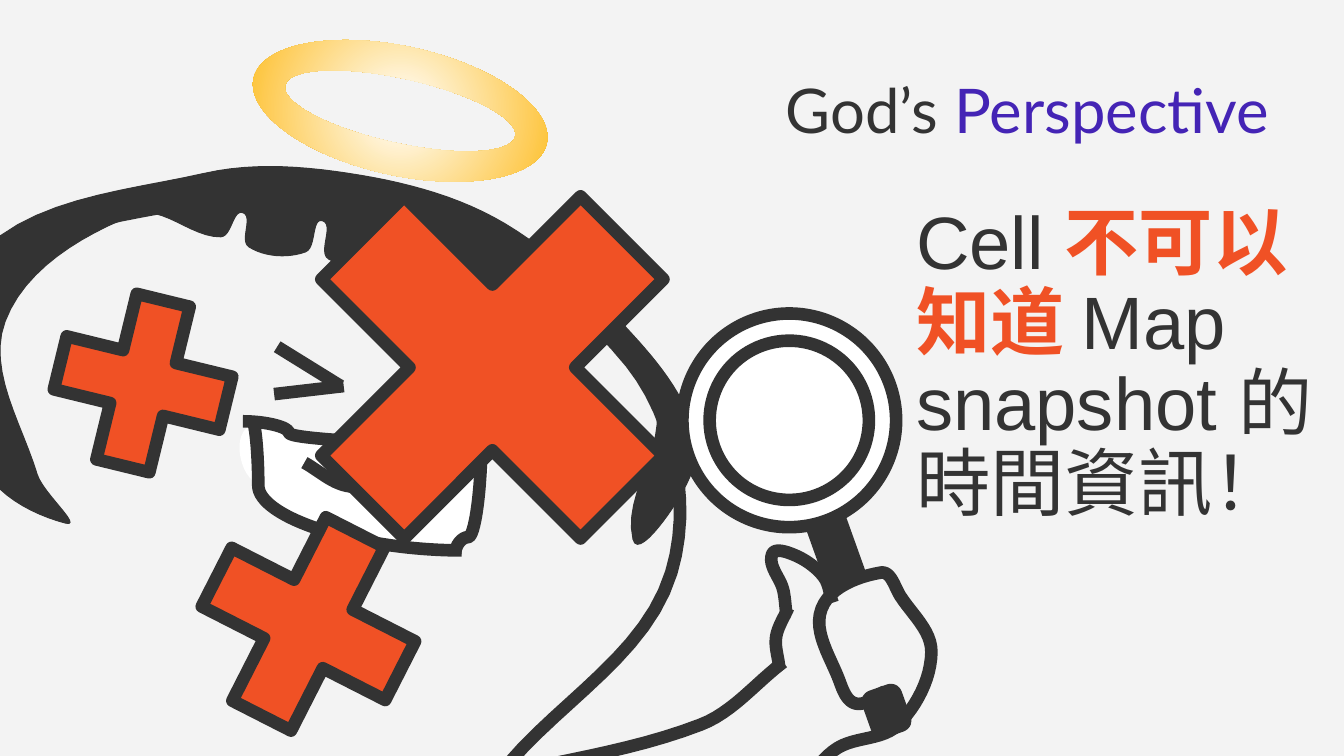
from dataclasses import dataclass
from math import dist
from typing import Iterator, Optional

from lxml.etree import SubElement
from pptx import Presentation
from pptx.dml.color import RGBColor
from pptx.enum.shapes import MSO_CONNECTOR as Link, MSO_SHAPE as Preset
from pptx.enum.text import MSO_ANCHOR as Anchor, PP_ALIGN as Align
from pptx.oxml.ns import qn
from pptx.util import Inches, Pt

COLORS = {"paper": "F3F3F3", "ink": "333333", "white": "FFFFFF",
          "red": "F05125", "gold": "FDB813", "violet": "4424B5"}
COLUMNS, ROWS = 1333.33, 750  # square cells
CELL = Inches(7.5) / ROWS
BOLD_LINE, THIN_LINE = 9, 0.75
CURVE_STEPS = 12
LENS_TILT = 340.3
LENS_CENTER = (783, 417)

Point = tuple[float, float]


@dataclass
class Outline:
    """Points, in cells, that a smooth curve passes through; closed if filled."""
    points: list[Point]
    fill: Optional[str] = None
    width: float = BOLD_LINE


@dataclass
class Stroke:
    ends: tuple[int, int, int, int]
    bend: Optional[float] = None
    turn: int = 0


@dataclass
class Figure:
    preset: Preset
    box: tuple[int, int, int, int]
    turn: float = 0
    fill: str = "ink"
    width: float = BOLD_LINE
    adjust: Optional[float] = None


@dataclass
class Phrase:
    words: str
    color: str
    font: str
    size: int
    bold: bool = False
    asian: bool = False


@dataclass
class Caption:
    box: tuple[int, int, int, int]
    phrases: list[Phrase]
    frame: dict
    align: Align = Align.LEFT


MOUTH = Outline([(247, 423), (247, 473), (335, 530), (449, 548), (464, 529),
                 (476, 447), (314, 434)], "white", 0)
TONGUE = Outline([(302, 459), (344, 482), (449, 489)])
ARM = Outline([(777, 657), (695, 719), (473, 774)])
WRIST = Outline([(773, 661), (770, 632), (782, 603)])
THUMB = Outline([(780, 607), (777, 585), (766, 550), (789, 551), (817, 572), (826, 598)])
SLEEVE = Outline([(878, 686), (849, 698), (833, 676), (815, 604), (874, 568), (893, 591),
                  (924, 647), (891, 719), (831, 742), (781, 787), (525, 885)])
HEAD = Outline([(0, 280), (118, 214), (377, 205), (626, 360), (666, 568), (505, 757)])
HAIR = Outline([(133, 213), (219, 235), (241, 211), (247, 245), (303, 250), (320, 219),
                (326, 257), (422, 278), (560, 299), (650, 398), (628, 535), (673, 495),
                (690, 432), (633, 338), (501, 222), (358, 174), (203, 172), (-29, 262),
                (-20, 456), (65, 519), (37, 471), (5, 319)], "ink", THIN_LINE)
OUTLINES = [MOUTH, TONGUE, ARM, WRIST, THUMB, SLEEVE, HEAD, HAIR]

EYE = [Stroke((275, 344, 338, 383)), Stroke((272, 391, 341, 383))]
LIPS = [Stroke((241, 418, 482, 441), bend=0.19),
        Stroke((409, 481, 520, 507), bend=0.85, turn=90),
        Stroke((250, 417, 458, 546), bend=0.03)]

NOSE = Figure(Preset.OVAL, (413, 366, 29, 29), width=THIN_LINE)
HALO = Figure(Preset.DONUT, (248, 46, 298, 128), 12.5, "gold", 0, 0.25)
HANDLE = [Figure(Preset.ROUNDED_RECTANGLE, box, LENS_TILT)
          for box in ((865, 687, 29, 37), (814, 510, 29, 68))]
LENS = [Figure(Preset.OVAL, (*(c - radius for c in LENS_CENTER), 2 * radius, 2 * radius),
               LENS_TILT, "white") for radius in (106, 79)]
CROSSES = [Figure(Preset.MATH_MULTIPLY, (left, top, side, side), turn, "red", adjust=0.235)
           for left, top, side, turn in ((241, 117, 495, 0), (167, 480, 278, 342),
                                         (27, 265, 230, 328.7))]

LATIN, CHINESE = "Arial", "Noto Sans CJK SC"
CAPTIONS = [
    Caption((899, 194, 434, 534), [
        Phrase("Cell ", "ink", LATIN, 53),
        Phrase("不可以知道", "red", CHINESE, 53, bold=True, asian=True),
        Phrase(" Map snapshot ", "ink", LATIN, 53),
        Phrase("的時間資訊！", "ink", CHINESE, 53, asian=True),
    ], {"vertical_anchor": Anchor.TOP,
        "margin_top": Inches(0.1), "margin_bottom": Inches(0.1)}),
    Caption((593, 40, 676, 145), [
        Phrase("God’s ", "ink", "Lato", 44),
        Phrase("Perspective", "violet", "Lato", 44),
    ], {"vertical_anchor": Anchor.MIDDLE}, Align.RIGHT),
]


def cells(*counts: float) -> list[int]:
    return [round(count * CELL) for count in counts]


def rgb(name: str) -> RGBColor:
    return RGBColor.from_string(COLORS[name])


def handle(knot: Point, before: Point, after: Point, reach: float) -> Point:
    """Return the control point beside a knot, along the line of its neighbours."""
    share = reach / (3 * dist(before, after))
    return tuple(k + (a - b) * share for k, b, a in zip(knot, before, after))


def smooth(points: list[Point], closed: bool) -> Iterator[list[int]]:
    ring = ([points[-1], *points, *points[:2]] if closed
            else [points[0], *points, points[-1]])
    yield cells(*points[0])
    for before, start, end, after in zip(ring, ring[1:], ring[2:], ring[3:]):
        reach = dist(start, end)
        corners = (start, handle(start, before, end, reach),
                   handle(end, after, start, reach), end)
        for step in range(1, CURVE_STEPS + 1):
            t = step / CURVE_STEPS
            weights = ((1 - t) ** 3, 3 * t * (1 - t) ** 2, 3 * t * t * (1 - t), t ** 3)
            yield cells(*(sum(w * c for w, c in zip(weights, axis))
                          for axis in zip(*corners)))


def paint(shape, fill: Optional[str], width: float) -> None:
    shape.shadow.inherit = False
    if fill:
        shape.fill.solid()
        shape.fill.fore_color.rgb = rgb(fill)
    else:
        shape.fill.background()
    if width:
        shape.line.color.rgb, shape.line.width = rgb("ink"), Pt(width)
    else:
        shape.line.fill.background()


def draw_outline(shapes, outline: Outline) -> None:
    closed = outline.fill is not None
    start, *rest = smooth(outline.points, closed)
    builder = shapes.build_freeform(*start)
    builder.add_line_segments(rest, close=closed)
    paint(builder.convert_to_shape(), outline.fill, outline.width)


def draw_stroke(shapes, stroke: Stroke) -> None:
    kind = Link.STRAIGHT if stroke.bend is None else Link.CURVE
    line = shapes.add_connector(kind, *cells(*stroke.ends))
    line.line.color.rgb, line.line.width = rgb("ink"), Pt(BOLD_LINE)
    props = line._element.spPr
    SubElement(props, qn("a:effectLst"))
    if stroke.turn:
        props.find(qn("a:xfrm")).set("rot", str(stroke.turn * 60000))
    if stroke.bend is not None:
        SubElement(props.find(qn("a:prstGeom")).find(qn("a:avLst")), qn("a:gd"),
                   name="adj1", fmla=f"val {round(stroke.bend * 100000)}")


def glow(shape) -> None:
    """Fill from white at the centre to gold at the rim."""
    shape.fill.gradient()
    for stop, color in zip(shape.fill.gradient_stops, ("white", "gold")):
        stop.color.rgb = rgb(color)
    gradient = shape._element.spPr.find(qn("a:gradFill"))
    linear = gradient.find(qn("a:lin"))
    radial = SubElement(gradient, qn("a:path"), path="circle")
    SubElement(radial, qn("a:fillToRect"), dict.fromkeys("ltrb", "50000"))
    gradient.replace(linear, radial)


def draw_figure(shapes, figure: Figure) -> None:
    shape = shapes.add_shape(figure.preset, *cells(*figure.box))
    shape.rotation = figure.turn
    if figure.adjust is not None:
        shape.adjustments[0] = figure.adjust
    paint(shape, figure.fill, figure.width)
    if figure is HALO:
        glow(shape)


def write_caption(shapes, caption: Caption) -> None:
    frame = shapes.add_textbox(*cells(*caption.box)).text_frame
    for key, value in {"word_wrap": True, **caption.frame}.items():
        setattr(frame, key, value)
    paragraph = frame.paragraphs[0]
    paragraph.alignment, paragraph.line_spacing = caption.align, 0.9
    for phrase in caption.phrases:
        run = paragraph.add_run()
        run.text = phrase.words
        formats = {"size": Pt(phrase.size), "name": phrase.font, "bold": phrase.bold}
        for key, value in formats.items():
            setattr(run.font, key, value)
        run.font.color.rgb = rgb(phrase.color)
        if phrase.asian:
            SubElement(run._r.get_or_add_rPr(), qn("a:ea"), typeface=phrase.font)


def main() -> None:
    deck = Presentation()
    deck.slide_width, deck.slide_height = cells(COLUMNS, ROWS)
    slide = deck.slides.add_slide(deck.slide_layouts[6])
    slide.background.fill.solid()
    slide.background.fill.fore_color.rgb = rgb("paper")
    for draw, parts in ((draw_outline, OUTLINES), (draw_stroke, EYE + LIPS),
                        (draw_figure, [NOSE, HALO, *HANDLE, *LENS, *CROSSES]),
                        (write_caption, CAPTIONS)):
        for part in parts:
            draw(slide.shapes, part)
    deck.save("out.pptx")


if __name__ == "__main__":
    main()
